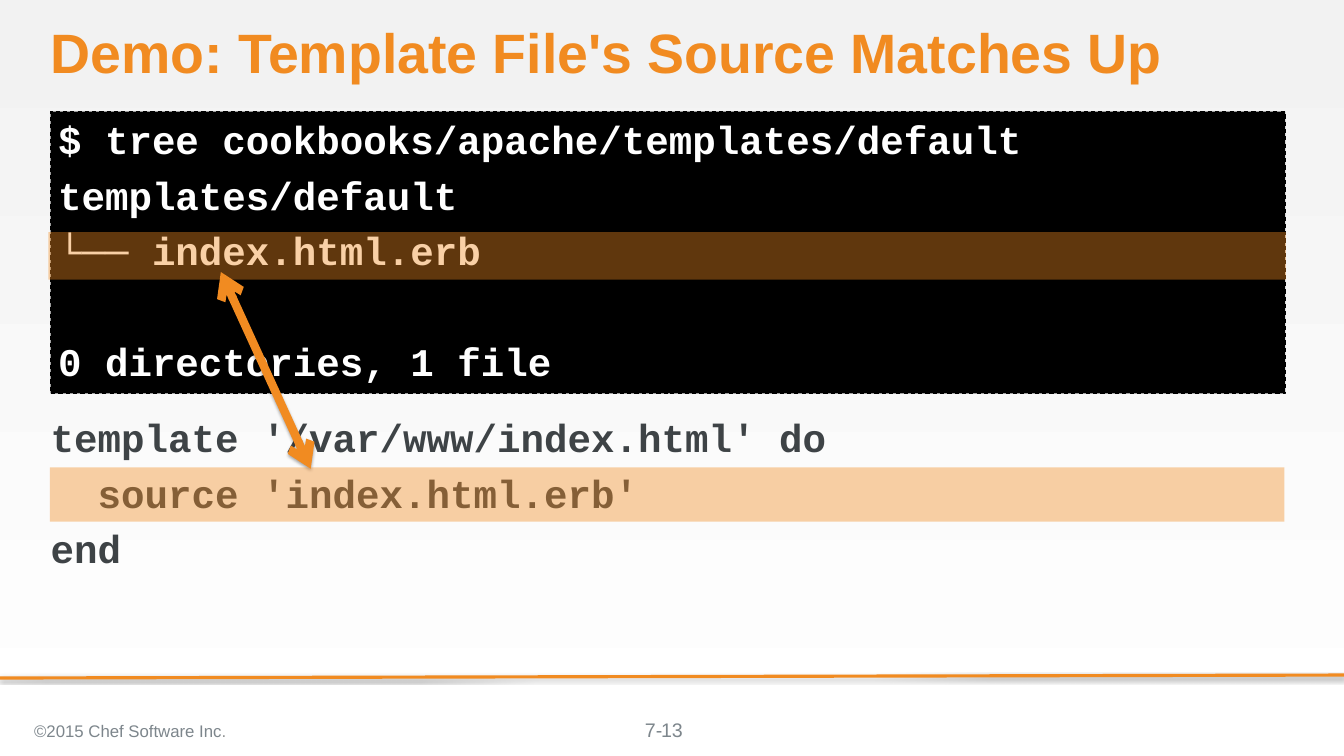
from lxml import etree
from pptx import Presentation
from pptx.dml.color import RGBColor
from pptx.enum.dml import MSO_LINE
from pptx.enum.shapes import MSO_CONNECTOR, MSO_SHAPE
from pptx.enum.text import MSO_ANCHOR, PP_ALIGN
from pptx.oxml.ns import qn
from pptx.util import Cm, Pt

ORANGE = RGBColor(0xF1, 0x8B, 0x21)
BLACK = RGBColor(0, 0, 0)
WHITE = RGBColor(0xFF, 0xFF, 0xFF)
PALE_GRAY = RGBColor(0xF2, 0xF2, 0xF2)
SLATE = RGBColor(0x3E, 0x43, 0x46)
FOOTER_GRAY = RGBColor(0x7D, 0x86, 0x8C)
DOT_GRAY = RGBColor(0x92, 0x94, 0x94)
RECTANGLE = MSO_SHAPE.RECTANGLE
STRAIGHT = MSO_CONNECTOR.STRAIGHT
DASH = MSO_LINE.DASH
TOP, MIDDLE = MSO_ANCHOR.TOP, MSO_ANCHOR.MIDDLE
LEFT, CENTER = PP_ALIGN.LEFT, PP_ALIGN.CENTER

TITLE = {"name": "Arial", "size": Pt(52.8), "bold": True}
CODE = {"name": "Courier New", "size": Pt(37.3), "bold": True}
COPYRIGHT = {"name": "Arial", "size": Pt(16)}
NUMBER = {"name": "Arial", "size": Pt(18.7)}
MARGIN, WIDTH = Cm(1.7), Cm(41.48)
CODE_GAP = Pt(8)
INSET_X, INSET_Y = Cm(0.25), Cm(0.13)


def write_lines(shape, lines, font, color, insets=(0, 0), anchor=TOP, align=LEFT, gap=0):
    """Fill a shape with one paragraph per line; insets are (side, top)."""
    frame = shape.text_frame
    side, top = insets
    settings = {"word_wrap": True, "vertical_anchor": anchor, "margin_left": side,
                "margin_right": side, "margin_top": top, "margin_bottom": 0}
    for name, value in settings.items():
        setattr(frame, name, value)
    for index, line in enumerate(lines):
        para = frame.paragraphs[0] if index == 0 else frame.add_paragraph()
        para.alignment = align
        if index:
            para.space_before = gap
        for name, value in font.items():
            setattr(para.font, name, value)
        if line:
            span = para.add_run()
            span.text = line
            for name, value in font.items():
                setattr(span.font, name, value)
            span.font.color.rgb = color
    return frame


def add_line(shapes, ends, width, arrows=False):
    """Draw an orange line with a soft shadow below it."""
    line = shapes.add_connector(STRAIGHT, *[Cm(value) for value in ends])
    line.line.color.rgb = ORANGE
    line.line.width = Pt(width)
    if arrows:
        outline = line.line._get_or_add_ln()
        for tag in ("a:headEnd", "a:tailEnd"):
            etree.SubElement(outline, qn(tag), type="arrow")
    effects = etree.SubElement(line._element.spPr, qn("a:effectLst"))
    shadow = etree.SubElement(effects, qn("a:outerShdw"), blurRad=str(Pt(3.1)),
                              dist=str(Pt(1.8)), dir="5400000", rotWithShape="0")
    shade = etree.SubElement(shadow, qn("a:srgbClr"), val=str(BLACK))
    etree.SubElement(shade, qn("a:alpha"), val="35000")


deck = Presentation()
deck.slide_width, deck.slide_height = Cm(45.16), Cm(25.4)
page = deck.slides.add_slide(deck.slide_layouts[6])
shapes = page.shapes

# Background, shading from top to bottom
background = page.background.fill
background.gradient()
background.gradient_angle = 270
for stop, color in zip(background.gradient_stops, (PALE_GRAY, WHITE)):
    stop.color.rgb = color

# Footer rule and title
add_line(shapes, (45.16, 22.68, 0, 22.78), 3)
title = shapes.add_textbox(MARGIN, Cm(0.85), WIDTH, Cm(2.31))
title_frame = write_lines(title, ["Demo: Template File's Source Matches Up"], TITLE, ORANGE)
title_frame.paragraphs[0].line_spacing = 0.9

# Terminal output
terminal = shapes.add_shape(RECTANGLE, MARGIN, Cm(3.75), WIDTH, Cm(9.47))
terminal.shadow.inherit = False
terminal.fill.solid()
terminal.fill.fore_color.rgb = BLACK
terminal.line.color.rgb = BLACK
terminal.line.width = Pt(1)
terminal.line.dash_style = DASH
terminal_lines = [
    "$ tree cookbooks/apache/templates/default",
    "templates/default",
    "└── index.html.erb",
    "",
    "0 directories, 1 file",
]
write_lines(terminal, terminal_lines, CODE, WHITE, (INSET_X, INSET_Y), gap=CODE_GAP)

# Recipe code
recipe = shapes.add_textbox(MARGIN, Cm(13.9), WIDTH, Cm(9.47))
recipe_lines = [
    "template '/var/www/index.html' do",
    "  source 'index.html.erb'",
    "end",
]
write_lines(recipe, recipe_lines, CODE, SLATE, gap=CODE_GAP)

# Arrow between the matching lines, and their highlights
add_line(shapes, (7.42, 9.14, 10.44, 15.75), 8, arrows=True)
for left, top, width, height in ((1.63, 7.8, 41.58, 1.6), (1.68, 15.7, 41.48, 1.83)):
    highlight = shapes.add_shape(RECTANGLE, Cm(left), Cm(top), Cm(width), Cm(height))
    highlight.shadow.inherit = False
    highlight.fill.solid()
    highlight.fill.fore_color.rgb = ORANGE
    highlight.line.fill.background()
    tint = highlight._element.spPr.find(qn("a:solidFill"))[0]
    etree.SubElement(tint, qn("a:alpha"), val="40000")

# Footer
chapter = shapes.add_textbox(Cm(21.57), Cm(24.12), Cm(2.03), Cm(0.79))
write_lines(chapter, ["7-"], NUMBER, FOOTER_GRAY, (Cm(0.1), 0))
owner = shapes.add_textbox(Cm(0.9), Cm(23.83), Cm(15.77), Cm(1.42))
owner_frame = write_lines(owner, ["©2015 Chef Software Inc"], COPYRIGHT, FOOTER_GRAY,
                          (INSET_X, 0), MIDDLE)
dot = owner_frame.paragraphs[0].add_run()
dot.text = "."
dot.font.color.rgb = DOT_GRAY
for name, value in COPYRIGHT.items():
    setattr(dot.font, name, value)
number = shapes.add_textbox(Cm(17.5), Cm(23.83), Cm(10.16), Cm(1.35))
write_lines(number, ["13"], NUMBER, FOOTER_GRAY, (INSET_X, 0), MIDDLE, CENTER)

deck.save("out.pptx")
